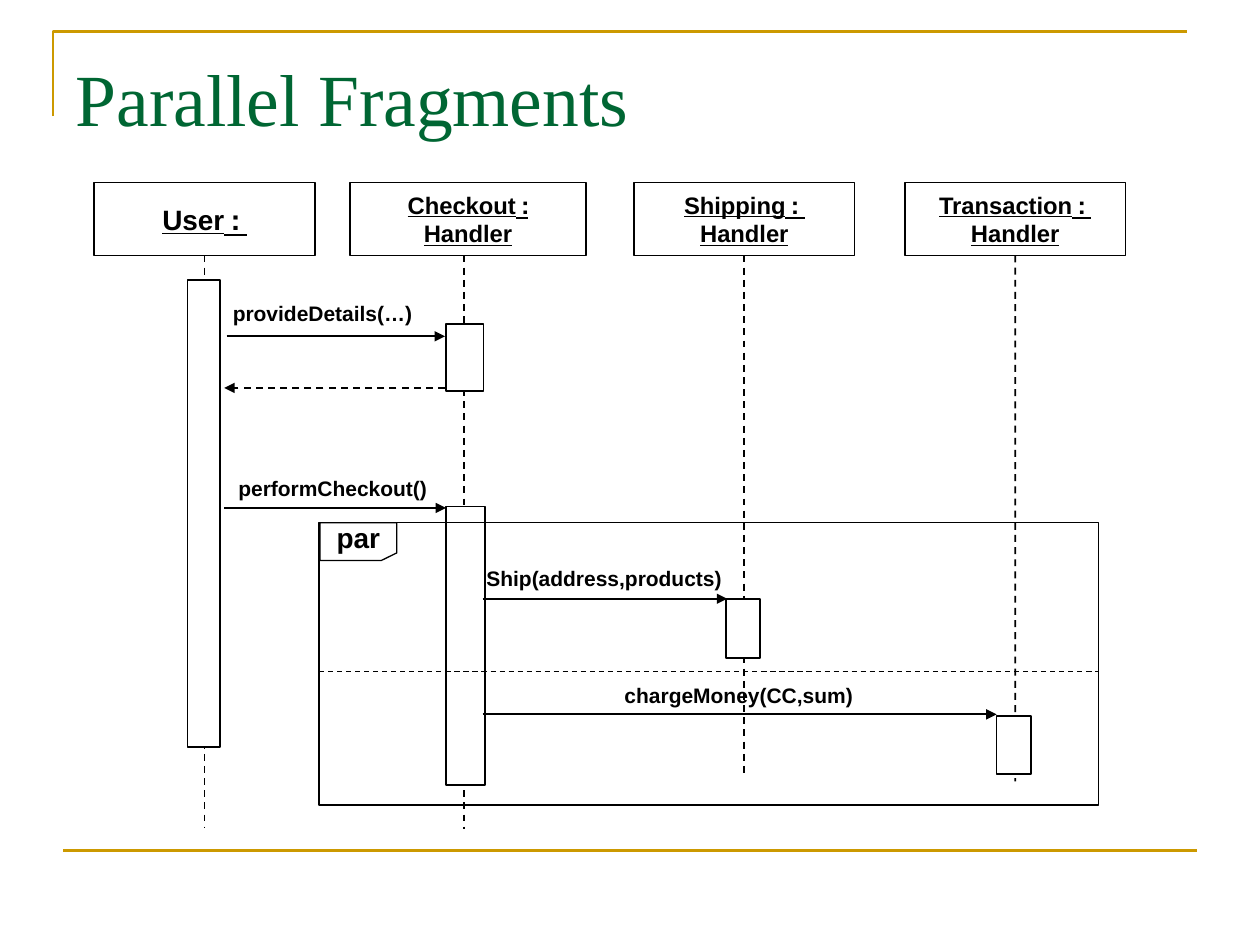
from lxml import etree
from pptx import Presentation
from pptx.dml.color import RGBColor
from pptx.enum import dml, shapes, text
from pptx.oxml import ns
from pptx.util import Cm, Pt

BLACK = RGBColor(0x00, 0x00, 0x00)
WHITE = RGBColor(0xFF, 0xFF, 0xFF)
GREEN = RGBColor(0x00, 0x66, 0x33)
GOLD = RGBColor(0xCC, 0x99, 0x00)

TITLE = "Parallel Fragments"
HEAD_TOP, HEAD_HEIGHT = 3.68, 1.47
# name, left, width, font size, lifeline x, lifeline end
PARTICIPANTS = [
    (" : User", 1.9, 4.45, 16, 4.12, 16.69),
    (": Checkout Handler", 7.06, 4.75, 13.6, 9.35, 16.71),
    (" : Shipping Handler", 12.78, 4.45, 13.6, 15.04, 15.67),
    (" : Transaction Handler", 18.24, 4.45, 13.6, 20.45, 15.75),
]
ACTIVATIONS = [
    (3.78, 5.64, 0.66, 9.42),
    (8.99, 6.53, 0.76, 1.35),
    (8.99, 10.21, 0.79, 5.61),
    (14.63, 12.07, 0.69, 1.19),
    (20.09, 14.43, 0.69, 1.17),
]
MESSAGES = [
    (4.57, 8.97, 6.78, "provideDetails(…)", (4.45, 5.94, 4.11)),
    (8.97, 4.52, 7.82, None, None),
    (4.52, 8.99, 10.24, "performCheckout()", (4.55, 9.47, 4.32)),
    (9.73, 14.66, 12.07, "Ship(address,products)", (9.55, 11.28, 5.26)),
    (9.73, 20.09, 14.4, "chargeMoney(CC,sum)", (12.34, 13.64, 5.11)),
]
FRAME = (6.43, 10.54, 15.72, 5.69)
FRAME_TAG = (6.45, 10.54, 1.55, 0.76)
DIVIDER_Y = 13.54
CORNER = [(1.07, 2.34), (1.07, 0.64), (23.93, 0.64)]
FOOTER = (1.27, 17.15, 24.13, 17.15)


def write(shape, content, size, font="Arial", color=BLACK, bold=True,
          underline=None, align=text.PP_ALIGN.CENTER, rtl=False, wrap=True,
          anchor=text.MSO_ANCHOR.MIDDLE):
    frame = shape.text_frame
    frame.word_wrap = wrap
    frame.auto_size = text.MSO_AUTO_SIZE.NONE
    frame.vertical_anchor = anchor
    paragraph = frame.paragraphs[0]
    paragraph.alignment = align
    if rtl:
        paragraph._p.get_or_add_pPr().set("rtl", "1")
    run = paragraph.add_run()
    run.text = content
    run.font.size, run.font.name = Pt(size), font
    run.font.bold, run.font.underline = bold, underline
    run.font.color.rgb = color


def add_box(slide, box, fill=None, width=1, kind=shapes.MSO_SHAPE.RECTANGLE):
    shape = slide.shapes.add_shape(kind, *map(Cm, box))
    shape.shadow.inherit = False
    if fill is None:
        shape.fill.background()
    else:
        shape.fill.solid()
        shape.fill.fore_color.rgb = fill
    shape.line.color.rgb = BLACK
    shape.line.width = Pt(width)
    return shape


def add_line(slide, ends, color=BLACK, width=1, dashed=False, arrow=False):
    connector = slide.shapes.add_connector(
        shapes.MSO_CONNECTOR.STRAIGHT, *map(Cm, ends))
    connector.line.color.rgb = color
    connector.line.width = Pt(width)
    if dashed:
        connector.line.dash_style = dml.MSO_LINE.DASH
    if arrow:
        line = connector.line._get_or_add_ln()
        etree.SubElement(line, ns.qn("a:tailEnd"), type="triangle")
    etree.SubElement(connector._element.spPr, ns.qn("a:effectLst"))
    return connector


def add_decoration(slide):
    builder = slide.shapes.build_freeform(*map(Cm, CORNER[0]))
    builder.add_line_segments(
        [(Cm(x), Cm(y)) for x, y in CORNER[1:]], close=False)
    corner = builder.convert_to_shape()
    corner.shadow.inherit = False
    corner.fill.background()
    corner.line.color.rgb = GOLD
    corner.line.width = Pt(1.5)
    add_line(slide, FOOTER, color=GOLD, width=1.5)


def add_title(slide):
    title = slide.shapes.title
    title.left, title.top, title.width, title.height = map(
        Cm, (1.27, 0.76, 22.86, 3.18))
    title.text_frame.margin_top = Cm(0.3)
    write(title, TITLE, 42, font="Times New Roman", color=GREEN, bold=False,
          align=text.PP_ALIGN.LEFT, anchor=text.MSO_ANCHOR.TOP)


def add_participants(slide):
    for name, left, width, size, x, end in PARTICIPANTS:
        head = add_box(slide, (left, HEAD_TOP, width, HEAD_HEIGHT))
        write(head, name, size, underline=True, rtl=True)
        center = left + width / 2
        centered = abs(center - x) < 0.05
        if centered:
            x = center
        lifeline = add_line(
            slide, (x, HEAD_TOP + HEAD_HEIGHT, x, end), dashed=True)
        if centered:
            lifeline.begin_connect(head, 2)


def add_fragment(slide):
    add_box(slide, FRAME, width=0.75)
    tag = add_box(slide, FRAME_TAG, fill=WHITE, width=0.75,
                  kind=shapes.MSO_SHAPE.FLOWCHART_CARD)
    transform = tag._element.spPr.find(ns.qn("a:xfrm"))
    transform.set("flipH", "1")
    transform.set("flipV", "1")
    write(tag, "par", 16, wrap=False)
    tag.text_frame._txBody.bodyPr.set("rot", "10800000")
    left, _, width, _ = FRAME
    add_line(slide, (left, DIVIDER_Y, left + width, DIVIDER_Y),
             width=0.75, dashed=True)


def add_messages(slide):
    for start, end, y, label, place in MESSAGES:
        add_line(slide, (start, y, end, y), dashed=label is None, arrow=True)
        if label:
            box = slide.shapes.add_textbox(*map(Cm, (*place, 0.76)))
            write(box, label, 12, wrap=False, anchor=text.MSO_ANCHOR.TOP)


def main():
    presentation = Presentation()
    presentation.slide_width, presentation.slide_height = Cm(25.4), Cm(19.05)
    slide = presentation.slides.add_slide(presentation.slide_layouts[5])
    add_decoration(slide)
    add_title(slide)
    add_participants(slide)
    for box in ACTIVATIONS:
        add_box(slide, box, fill=WHITE)
    add_fragment(slide)
    add_messages(slide)
    presentation.save("out.pptx")


if __name__ == "__main__":
    main()
